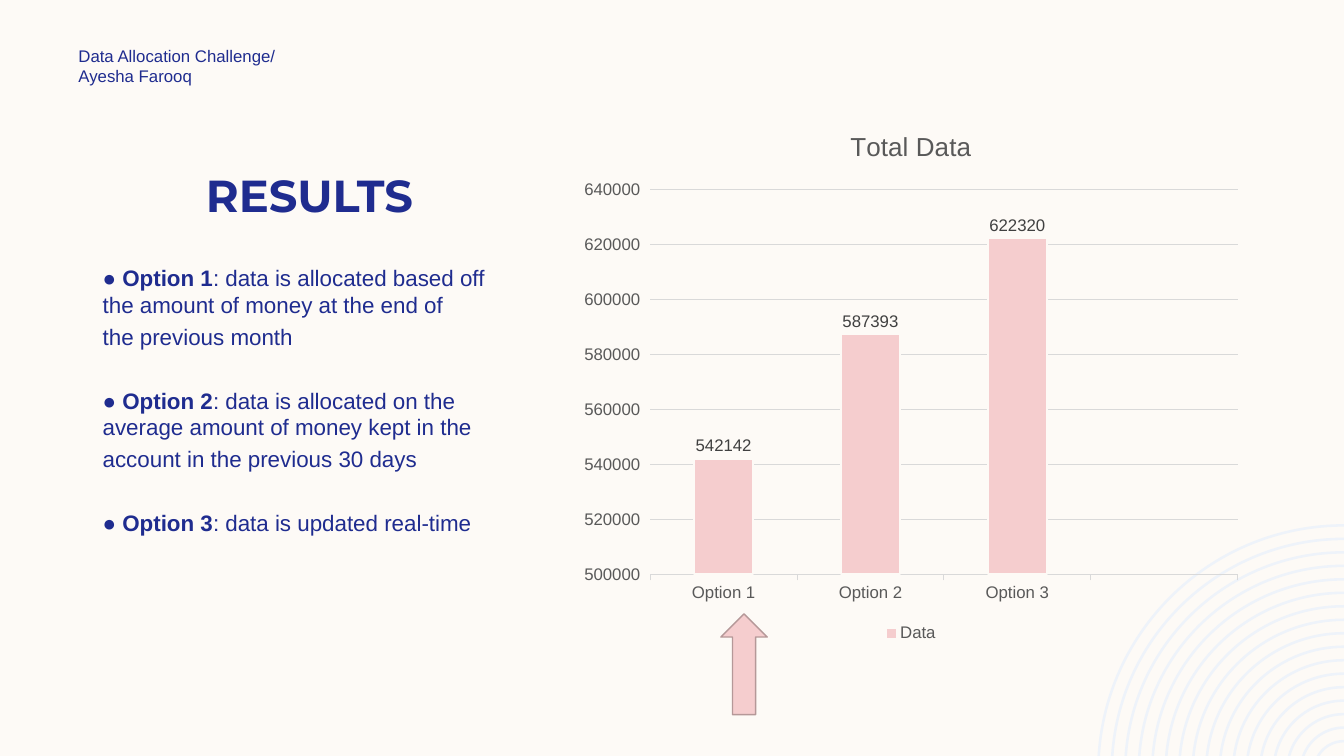
from dataclasses import dataclass
from math import asin, cos, pi, sin, tan

from pptx import Presentation
from pptx.chart.data import CategoryChartData
from pptx.dml.color import RGBColor
from pptx.enum.chart import XL_CHART_TYPE, XL_LABEL_POSITION, XL_LEGEND_POSITION, XL_TICK_MARK
from pptx.enum.shapes import MSO_SHAPE
from pptx.enum.text import MSO_ANCHOR, PP_ALIGN
from pptx.oxml.ns import qn
from pptx.oxml.xmlchemy import OxmlElement
from pptx.util import Inches, Pt


@dataclass(frozen=True)
class Theme:
    """Colours, fonts and type sizes of the slide."""
    cream: RGBColor = RGBColor.from_string("FDFAF6")
    navy: RGBColor = RGBColor.from_string("1F2C8F")
    pink: RGBColor = RGBColor.from_string("F5CDCE")
    rose: RGBColor = RGBColor.from_string("B59898")
    ripple: RGBColor = RGBColor.from_string("EEF3FA")
    grid: RGBColor = RGBColor.from_string("D9D9D9")
    axis: RGBColor = RGBColor.from_string("595959")
    label: RGBColor = RGBColor.from_string("404040")
    heading_font: str = "Montserrat"
    body_font: str = "Arial"
    heading: float = 32
    chart_title: float = 18.6
    body: float = 16
    small: float = 12


THEME = Theme()
OPTIONS = [
    ("Option 1", ": data is allocated based off the amount of money at the end of",
     "the previous month", 542142),
    ("Option 2", ": data is allocated on the average amount of money kept in the",
     "account in the previous 30 days", 587393),
    ("Option 3", ": data is updated real-time", None, 622320),
]


def style_font(font, size, color, name=THEME.body_font, bold=False):
    """Set size, colour, typeface and weight of a font."""
    font.size = Pt(size)
    font.color.rgb = color
    font.name = name
    font.bold = bold


def add_run(paragraph, text, size, name=THEME.body_font, bold=False):
    """Append one navy run to a paragraph."""
    run = paragraph.add_run()
    run.text = text
    style_font(run.font, size, THEME.navy, name, bold)


def add_text_frame(slide, left, top, width, height, anchor):
    """Add a wrapping text box and return its frame."""
    box = slide.shapes.add_textbox(Inches(left), Inches(top), Inches(width), Inches(height))
    frame = box.text_frame
    frame.word_wrap = True
    frame.vertical_anchor = anchor
    return frame


def next_paragraph(frame):
    """Return the first paragraph while it is empty, else a new one."""
    first = frame.paragraphs[0]
    return frame.add_paragraph() if first.runs else first


def arc_points(radius, center_x=13.33, center_y=7.65, bottom=7.5):
    """Return the four Bézier points of an arc from the bottom edge to its top."""
    start = asin((center_y - bottom) / radius)
    pull = radius * 4 / 3 * tan((pi / 2 - start) / 4)
    x, y = center_x - radius * cos(start), bottom
    points = [(x, y), (x + pull * sin(start), y - pull * cos(start)),
              (center_x - pull, center_y - radius), (center_x, center_y - radius)]
    return [(Inches(px), Inches(py)) for px, py in points]


def curve_rings(ripples, segments=7):
    """Turn both arcs of each ring from three lines into one cubic curve."""
    lines = list(ripples.element.iter(qn("a:lnTo")))
    for ring in range(0, len(lines), segments):
        for first in (ring, ring + 4):
            curve = OxmlElement("a:cubicBezTo")
            lines[first].addprevious(curve)
            for line in lines[first:first + 3]:
                curve.append(line[0])
                line.getparent().remove(line)


def add_ripples(slide, outer=2.45, inner=0.31, count=17):
    """Draw evenly spaced quarter rings cut off by the slide's corner."""
    gap = (outer - inner) / (count - 1)
    radii = [outer - gap * i for i in range(count)]
    rings = [arc_points(radius) + arc_points(radius - 0.19 * gap)[::-1] for radius in radii]
    builder = slide.shapes.build_freeform(*rings[0][0])
    for index, ring in enumerate(rings):
        if index:
            builder.move_to(*ring[0])
        builder.add_line_segments(ring[1:], close=True)
    ripples = builder.convert_to_shape()
    curve_rings(ripples)
    ripples.shadow.inherit = False
    ripples.fill.solid()
    ripples.fill.fore_color.rgb = THEME.ripple
    ripples.line.fill.background()


def add_header(slide):
    """Add the project and author lines."""
    frame = add_text_frame(slide, 0.68, 0.5, 3.5, 0.3, MSO_ANCHOR.MIDDLE)
    frame.margin_top = frame.margin_bottom = 0
    for line in ("Data Allocation Challenge/", "Ayesha Farooq"):
        add_run(next_paragraph(frame), line, THEME.small)


def add_heading(slide):
    """Add the slide heading."""
    frame = add_text_frame(slide, 0.92, 0.5, 4.3, 1.75, MSO_ANCHOR.BOTTOM)
    heading = frame.paragraphs[0]
    heading.alignment = PP_ALIGN.CENTER
    heading.line_spacing = Pt(48.8)
    add_run(heading, "RESULTS", THEME.heading, THEME.heading_font, True)


def add_option_line(frame, space_before, *parts):
    """Add one paragraph of (text, bold) parts below the given space."""
    paragraph = next_paragraph(frame)
    paragraph.line_spacing = Pt(19.1)
    paragraph.space_before = Pt(space_before)
    for text, bold in parts:
        add_run(paragraph, text, THEME.body, bold=bold)


def add_options(slide):
    """Describe each allocation option."""
    frame = add_text_frame(slide, 0.92, 2.25, 4.3, 4.17, MSO_ANCHOR.TOP)
    frame.margin_top = Inches(0.37)
    for index, (name, summary, ending, _) in enumerate(OPTIONS):
        add_option_line(frame, 26.6 if index else 0,
                        ("● ", False), (name, True), (summary, False))
        if ending:
            add_option_line(frame, 3.8, (ending, False))


def style_axes(chart):
    """Set scale, ticks, lines and fonts of both axes."""
    categories, values = chart.category_axis, chart.value_axis
    for axis in (categories, values):
        style_font(axis.tick_labels.font, THEME.small, THEME.axis)
        axis.major_tick_mark = XL_TICK_MARK.OUTSIDE
    values.minimum_scale, values.maximum_scale, values.major_unit = 500000, 640000, 20000
    values.tick_labels.number_format = "0"
    values.tick_labels.number_format_is_linked = False
    values.format.line.fill.background()
    for line in (categories.format.line, values.major_gridlines.format.line):
        line.color.rgb = THEME.grid
        line.width = Pt(0.75)


def style_bars(plot):
    """Set fill, outline and value labels of the bars."""
    plot.gap_width = 150
    plot.vary_by_categories = False
    bars = plot.series[0]
    bars.format.fill.solid()
    bars.format.fill.fore_color.rgb = THEME.pink
    bars.format.line.color.rgb = THEME.cream
    bars.format.line.width = Pt(1.5)
    labels = bars.data_labels
    labels.show_value = True
    labels.number_format = "0"
    labels.number_format_is_linked = False
    labels.position = XL_LABEL_POSITION.OUTSIDE_END
    style_font(labels.font, THEME.small, THEME.label)


def add_total_chart(slide):
    """Add the column chart of total data per option."""
    data = CategoryChartData(number_format="0")
    data.categories = [option[0] for option in OPTIONS] + [""]
    data.add_series("Data", [option[3] for option in OPTIONS] + [None])
    chart = slide.shapes.add_chart(
        XL_CHART_TYPE.COLUMN_CLUSTERED,
        Inches(5.66), Inches(1.08), Inches(6.75), Inches(5.33), data).chart
    style_font(chart.font, THEME.small, THEME.axis)
    chart.has_title = True
    title = chart.chart_title.text_frame.paragraphs[0].add_run()
    title.text = "Total Data"
    style_font(title.font, THEME.chart_title, THEME.axis)
    chart.has_legend = True
    chart.legend.position = XL_LEGEND_POSITION.BOTTOM
    chart.legend.include_in_layout = False
    style_font(chart.legend.font, THEME.small, THEME.axis)
    style_axes(chart)
    style_bars(chart.plots[0])


def add_pointer(slide):
    """Point an arrow up at the first option."""
    pointer = slide.shapes.add_shape(
        MSO_SHAPE.UP_ARROW, Inches(7.15), Inches(6.09), Inches(0.46), Inches(1))
    pointer.shadow.inherit = False
    pointer.fill.solid()
    pointer.fill.fore_color.rgb = THEME.pink
    pointer.line.color.rgb = THEME.rose
    pointer.line.width = Pt(1)


def main():
    """Build and save the slide."""
    deck = Presentation()
    deck.slide_width, deck.slide_height = Inches(13.33), Inches(7.5)
    slide = deck.slides.add_slide(deck.slide_layouts[6])
    slide.background.fill.solid()
    slide.background.fill.fore_color.rgb = THEME.cream
    for add_part in (add_ripples, add_heading, add_total_chart,
                     add_options, add_header, add_pointer):
        add_part(slide)
    deck.save("out.pptx")


if __name__ == "__main__":
    main()
